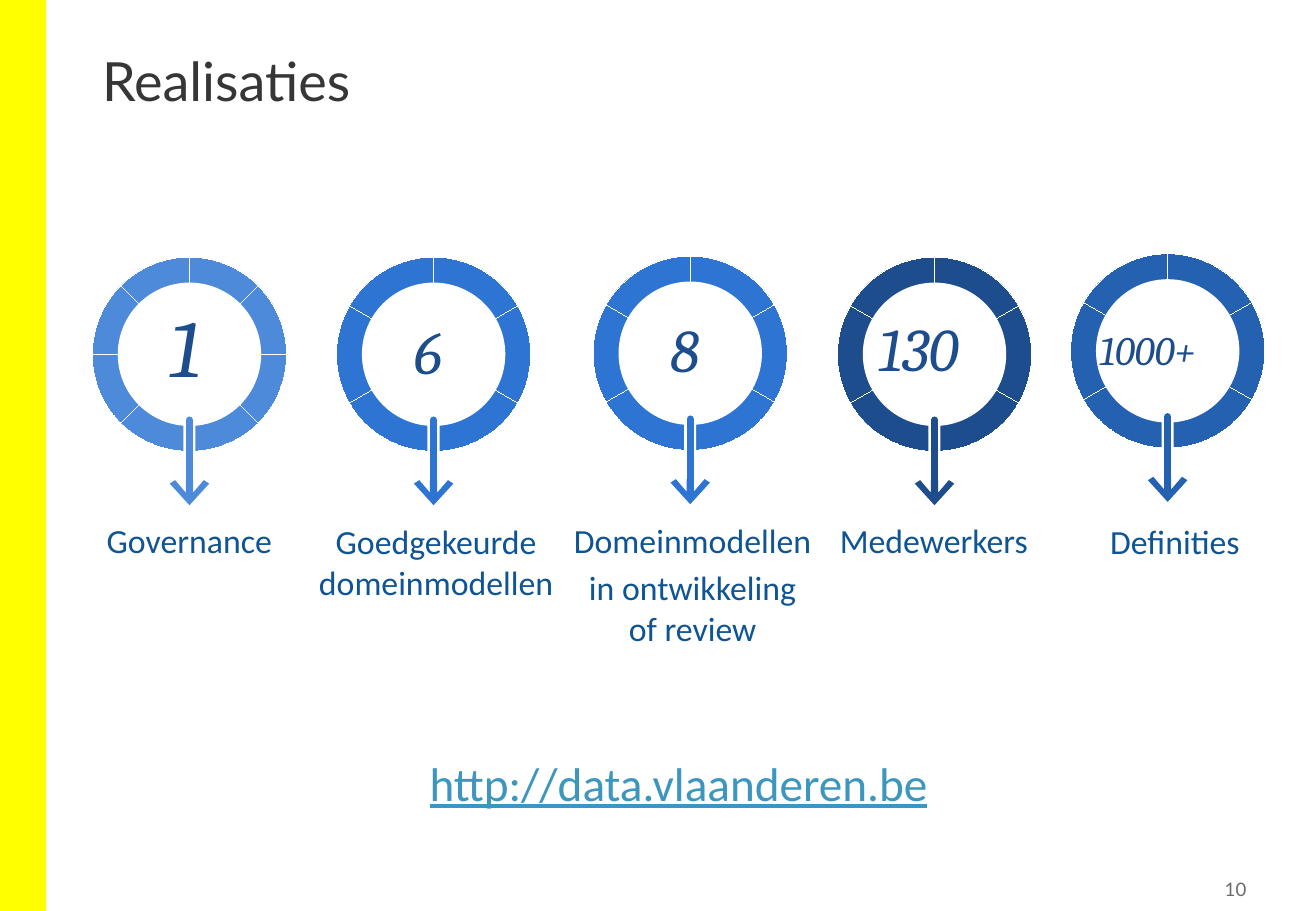
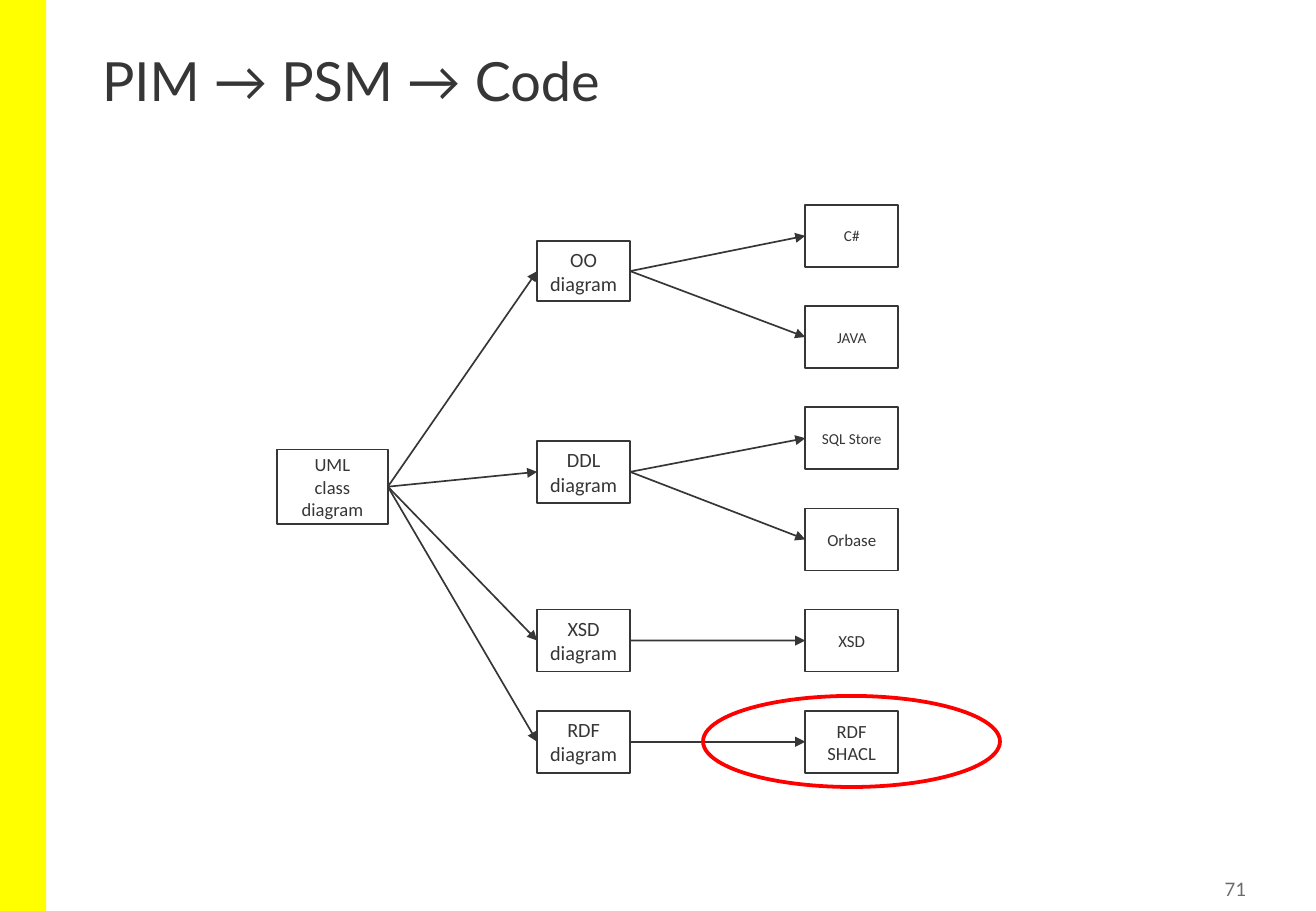
"""Builds two slides: a row of result rings and a model-to-code tree."""
from math import cos, radians, sin, tan

from pptx import Presentation
from pptx.dml.color import RGBColor
from pptx.enum.shapes import MSO_CONNECTOR, MSO_SHAPE
from pptx.enum.text import MSO_ANCHOR as Anchor, PP_ALIGN as Align
from pptx.oxml.ns import qn
from pptx.util import Pt
from lxml.etree import SubElement

WIDTH, HEIGHT = 780, 540
YELLOW = RGBColor(0xFF, 0xFF, 0x00)
WHITE = RGBColor(0xFF, 0xFF, 0xFF)
RED = RGBColor(0xFF, 0x00, 0x00)
INK = RGBColor(0x37, 0x36, 0x36)
GREY = RGBColor(0x6B, 0x6B, 0x6B)
LABEL_BLUE = RGBColor(0x0F, 0x54, 0x94)
LINK_BLUE = RGBColor(0x3C, 0x96, 0xBE)
SKY = RGBColor(0x4E, 0x8A, 0xDA)
BLUE = RGBColor(0x2D, 0x74, 0xD3)
ROYAL = RGBColor(0x25, 0x61, 0xB1)
NAVY = RGBColor(0x1D, 0x4D, 0x8D)

TITLE_FONT = dict(name="Lato", size=Pt(32), color=INK)
PAGE_FONT = dict(name="Lato", size=Pt(11), color=GREY)
LABEL_FONT = dict(name="Calibri", size=Pt(20), color=LABEL_BLUE)
LINK_FONT = dict(name="Calibri", size=Pt(28), color=LINK_BLUE, underline=True)
FIGURE_FONT = dict(name="Cambria", italic=True, color=NAVY)
NODE_FONT = dict(name="Calibri", color=INK)

RINGS = [
    dict(center=(112.3, 210), segments=8, color=SKY, figure="1", size=48,
         figure_box=(100.2, 175.7, 24, 58), label=["Governance"],
         label_box=(42, 304.6, 140.4, 39.6)),
    dict(center=(257, 210), segments=6, color=BLUE, figure="6", size=36,
         figure_box=(245.5, 185.8, 21, 44), label=["Goedgekeurde domeinmodellen"],
         label_box=(180.8, 305.3, 155.5, 39.6)),
    dict(center=(409.1, 209.4), segments=6, color=BLUE, figure="8", size=36,
         figure_box=(397.4, 185, 21, 44), label=["Domeinmodellen", "in ontwikkeling of review"],
         label_box=(332.8, 304.6, 155.5, 39.6)),
    dict(center=(553.9, 210), segments=6, color=NAVY, figure="130", size=36,
         figure_box=(520.6, 184.5, 66.2, 44), label=["Medewerkers"],
         label_box=(483.3, 304.6, 140.4, 39.6)),
    dict(center=(692.1, 208), segments=6, color=ROYAL, figure="1000+", size=24,
         figure_box=(651.6, 192.8, 80, 29), label=["Definities"],
         label_box=(626.2, 305.3, 140.4, 39.6)),
]
OUTER_RADIUS, INNER_RADIUS = 57.6, 42.5

ROOT_TEXT, ROOT_Y = "UML\nclass diagram", 288.5
DIAGRAMS = [
    ("OO\ndiagram", 160.7, 35.3, [("C#", 9), ("JAVA", 9)]),
    ("DDL\ndiagram", 279.7, 36.8, [("SQL Store", 9), ("Orbase", 10)]),
    ("XSD\ndiagram", 379.7, 36.8, [("XSD", 10)]),
    ("RDF\ndiagram", 439.7, 36.8, [("RDF\nSHACL", 11)]),
]
ROOT_LEFT, DIAGRAM_LEFT, CODE_LEFT = 164.2, 318.4, 477.3
NODE_WIDTH, NODE_HEIGHT = 55.1, 36.8
FIRST_CODE_Y, CODE_STEP = 139.8, 59.98


def points(*values):
    return [Pt(value) for value in values]


def apply_font(font, color, **values):
    for name, value in values.items():
        setattr(font, name, value)
    font.color.rgb = color


def write(frame, lines, font, align=Align.LEFT, inset=None, wrap=True,
          anchor=Anchor.TOP, space=0, line_spacing=None):
    frame.word_wrap, frame.vertical_anchor = wrap, anchor
    if inset is not None:
        for side in ("left", "top", "right", "bottom"):
            setattr(frame, f"margin_{side}", Pt(inset))
    for index, line in enumerate(lines):
        paragraph = frame.add_paragraph() if index else frame.paragraphs[0]
        run = paragraph.add_run()
        run.text = line
        apply_font(run.font, **font)
        paragraph.alignment = align
        if line_spacing:
            paragraph.line_spacing = line_spacing
        if index and space:
            paragraph.space_before = Pt(space)


def add_text(slide, box, lines, font, **layout):
    shape = slide.shapes.add_textbox(*points(*box))
    write(shape.text_frame, lines, font, **layout)


def paint(shape, fill=None, line=None, width=0):
    shape.shadow.inherit = False
    if fill is None:
        shape.fill.background()
    else:
        shape.fill.solid()
        shape.fill.fore_color.rgb = fill
    if line is None:
        shape.line.fill.background()
    else:
        shape.line.color.rgb = line
        shape.line._get_or_add_ln().set("w", str(Pt(width)))


def add_preset(slide, kind, box, **colors):
    shape = slide.shapes.add_shape(kind, *points(*box))
    paint(shape, **colors)
    return shape


def add_arrow(slide, start, end, color, width, **head):
    arrow = slide.shapes.add_connector(MSO_CONNECTOR.STRAIGHT, *points(*start, *end))
    arrow.line.color.rgb = color
    arrow.line.width = Pt(width)
    SubElement(arrow.line._get_or_add_ln(), qn("a:tailEnd"), **head)
    SubElement(arrow._element.spPr, qn("a:effectLst"))
    return arrow


def start_slide(presentation, title, page):
    slide = presentation.slides.add_slide(presentation.slide_layouts[5])
    heading = slide.shapes.title
    heading.left, heading.top, heading.width, heading.height = points(53.3, 28.8, 672.5, 77.8)
    write(heading.text_frame, [title], TITLE_FONT, line_spacing=0.9)
    add_text(slide, (684, 516.5, 58.3, 21), [page], PAGE_FONT, align=Align.RIGHT,
             inset=3.6, anchor=Anchor.MIDDLE)
    return slide


def add_layout_band(presentation, slide):
    band = add_preset(slide, MSO_SHAPE.RECTANGLE, (0, 0, 27.3, HEIGHT), fill=YELLOW)
    presentation.slide_layouts[5].shapes._spTree.insert(2, band._element)


def add_segment(slide, center, start, sweep, color):
    x, y = center
    handle = OUTER_RADIUS * tan(radians(sweep) / 4) * 4 / 3

    def on_arc(degrees, offset):
        angle = radians(degrees)
        return points(x + OUTER_RADIUS * sin(angle) + offset * cos(angle),
                      y - OUTER_RADIUS * cos(angle) + offset * sin(angle))

    end = start + sweep
    builder = slide.shapes.build_freeform(*points(x, y))
    builder.add_line_segments([on_arc(start, 0), on_arc(start, handle),
                               on_arc(end, -handle), on_arc(end, 0)])
    shape = builder.convert_to_shape()
    outline = next(shape._element.iter(qn("a:path")))
    lines = outline.findall(qn("a:lnTo"))
    curve = SubElement(outline, qn("a:cubicBezTo"))
    lines[0].addnext(curve)
    for line in lines[1:4]:
        curve.append(line[0])
        outline.remove(line)
    paint(shape, fill=color, line=WHITE)


def add_ring(slide, ring):
    x, y = ring["center"]
    color, sweep = ring["color"], 360 / ring["segments"]
    for index in range(ring["segments"]):
        add_segment(slide, (x, y), index * sweep, sweep, color)
    add_preset(slide, MSO_SHAPE.OVAL, (x - INNER_RADIUS, y - INNER_RADIUS,
                                       2 * INNER_RADIUS, 2 * INNER_RADIUS), fill=WHITE)
    add_preset(slide, MSO_SHAPE.RECTANGLE, (x - 3.6, y + 41, 7.2, 20), fill=WHITE)
    arrow = add_arrow(slide, (x, y + 39), (x, y + 89.5), color, 4.25, type="arrow", w="lg")
    arrow.line._get_or_add_ln().set("cap", "rnd")
    add_text(slide, ring["figure_box"], [ring["figure"]],
             dict(FIGURE_FONT, size=Pt(ring["size"])), inset=0, wrap=False)
    add_text(slide, ring["label_box"], ring["label"], LABEL_FONT, align=Align.CENTER, space=4)


def add_node(slide, text, left, middle, size, width=NODE_WIDTH, height=NODE_HEIGHT):
    node = add_preset(slide, MSO_SHAPE.RECTANGLE, (left, middle - height / 2, width, height),
                      line=INK, width=1)
    write(node.text_frame, text.split("\n"), dict(NODE_FONT, size=Pt(size)),
          align=Align.CENTER, anchor=Anchor.MIDDLE)
    return node


def join(slide, source, target):
    arrow = add_arrow(slide, (0, 0), (0, 0), INK, 1, type="triangle")
    arrow.begin_connect(source, 3)
    arrow.end_connect(target, 1)


def build_results(presentation):
    slide = start_slide(presentation, "Realisaties", "10")
    add_layout_band(presentation, slide)
    for ring in RINGS:
        add_ring(slide, ring)
    add_text(slide, (245.5, 426.6, 313.2, 58.3), ["http://data.vlaanderen.be"], LINK_FONT,
             align=Align.CENTER, wrap=False, line_spacing=1.5)


def build_tree(presentation):
    slide = start_slide(presentation, "PIM → PSM → Code", "71")
    root = add_node(slide, ROOT_TEXT, ROOT_LEFT, ROOT_Y, 11, 65.7, 44)
    code_y = FIRST_CODE_Y
    for text, middle, height, targets in DIAGRAMS:
        diagram = add_node(slide, text, DIAGRAM_LEFT, middle, 12, height=height)
        join(slide, root, diagram)
        for target, size in targets:
            join(slide, diagram, add_node(slide, target, CODE_LEFT, code_y, size))
            code_y += CODE_STEP
    add_preset(slide, MSO_SHAPE.OVAL, (416.7, 412.5, 176, 54), line=RED, width=2.25)


def main():
    presentation = Presentation()
    presentation.slide_width, presentation.slide_height = points(WIDTH, HEIGHT)
    build_results(presentation)
    build_tree(presentation)
    presentation.save("out.pptx")


if __name__ == "__main__":
    main()
